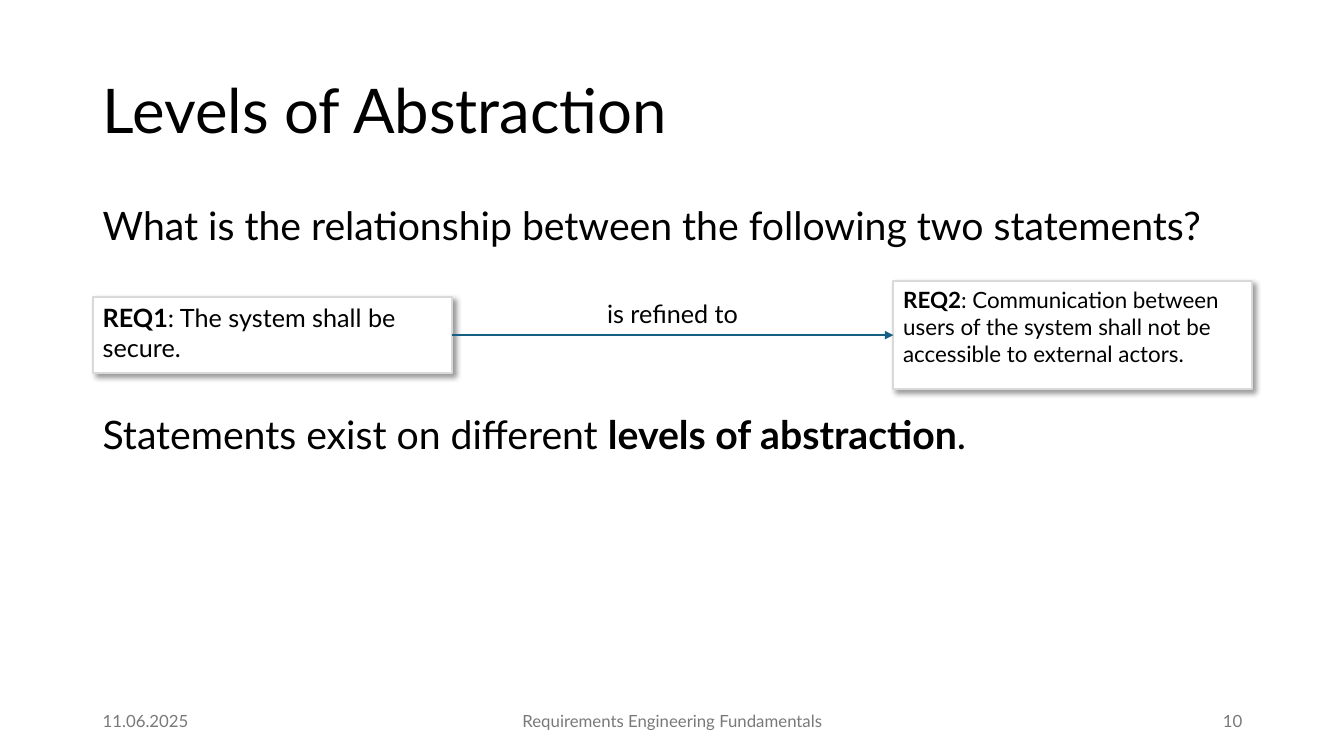
from lxml import etree
from pptx import Presentation
from pptx.dml.color import RGBColor
from pptx.enum.shapes import MSO_CONNECTOR, MSO_SHAPE
from pptx.enum.text import MSO_ANCHOR, MSO_AUTO_SIZE, PP_ALIGN
from pptx.oxml.ns import qn
from pptx.util import Inches, Pt

RECTANGLE = MSO_SHAPE.RECTANGLE
STRAIGHT = MSO_CONNECTOR.STRAIGHT
TOP, MIDDLE = MSO_ANCHOR.TOP, MSO_ANCHOR.MIDDLE
LEFT, CENTER, RIGHT = PP_ALIGN.LEFT, PP_ALIGN.CENTER, PP_ALIGN.RIGHT
NO_AUTOFIT = MSO_AUTO_SIZE.NONE
TITLE_ONLY = 5
FONT = "Lato"
COLORS = {
    "text": "000000",
    "footer": "797979",
    "card": "FFFFFF",
    "border": "D9D9D9",
    "arrow": "156082",
    "shadow": "000000",
}


def color(name):
    """Return the named colour."""
    return RGBColor.from_string(COLORS[name])


def write_text(shape, *runs, size, fill="text", align=LEFT, anchor=TOP, spacing=1.0, before=0):
    """Fill a shape with one paragraph of (text, bold) runs."""
    frame = shape.text_frame
    frame.word_wrap = True
    frame.auto_size = NO_AUTOFIT
    frame.vertical_anchor = anchor
    paragraph = frame.paragraphs[0]
    paragraph.alignment = align
    paragraph.line_spacing = spacing
    paragraph.space_before = Pt(before)
    for text, bold in runs:
        run = paragraph.add_run()
        run.text = text
        run.font.name = FONT
        run.font.size = Pt(size)
        run.font.bold = bold
        run.font.color.rgb = color(fill)


def add_text(slide, box, *runs, **text_format):
    """Add a text box with formatted runs."""
    shape = slide.shapes.add_textbox(*map(Inches, box))
    write_text(shape, *runs, **text_format)


def add_title(slide, box, text):
    """Place and fill the title placeholder."""
    title = slide.shapes.title
    title.left, title.top, title.width, title.height = map(Inches, box)
    write_text(title, (text, False), size=44, anchor=MIDDLE, spacing=0.9)


def add_statement(slide, box, *runs):
    """Add a large line of body text."""
    add_text(slide, box, *runs, size=28, spacing=0.9, before=10)


def add_card_shadow(card):
    """Give a card a soft shadow towards the lower right."""
    card.shadow.inherit = False
    effects = card._element.spPr.find(qn("a:effectLst"))
    shadow = etree.SubElement(
        effects, qn("a:outerShdw"), blurRad=str(Pt(4)), dist=str(Pt(3)),
        dir=str(45 * 60000), algn="tl", rotWithShape="0")
    shade = etree.SubElement(shadow, qn("a:srgbClr"), val=COLORS["shadow"])
    etree.SubElement(shade, qn("a:alpha"), val="40000")


def add_requirement(slide, box, name, text, size):
    """Add a requirement card with a bold name."""
    card = slide.shapes.add_shape(RECTANGLE, *map(Inches, box))
    card.fill.solid()
    card.fill.fore_color.rgb = color("card")
    card.line.color.rgb = color("border")
    card.line.width = Pt(1.5)
    add_card_shadow(card)
    write_text(card, (name, True), (f": {text}", False), size=size)


def add_arrow(slide, start, end, y):
    """Add a horizontal arrow."""
    arrow = slide.shapes.add_connector(STRAIGHT, *map(Inches, (start, y, end, y)))
    arrow.line.color.rgb = color("arrow")
    arrow.line.width = Pt(1)
    etree.SubElement(arrow.line._get_or_add_ln(), qn("a:tailEnd"), type="triangle")
    etree.SubElement(arrow._element.spPr, qn("a:effectLst"))


def add_refinement(slide, box):
    """Draw the two requirements and the arrow that links them."""
    left, top, width, height = box
    card_width, short_height = 3.56, 0.75
    middle = top + height / 2
    arrow_start, arrow_end = left + card_width, left + width - card_width
    add_requirement(slide, (left, middle - short_height / 2, card_width, short_height),
                    "REQ1", "The system shall be secure.", 18)
    add_requirement(slide, (arrow_end, top, card_width, height), "REQ2",
                    "Communication between users of the system shall not be "
                    "accessible to external actors.", 16)
    add_arrow(slide, arrow_start, arrow_end, middle)
    label_width = 2.49
    label_left = (arrow_start + arrow_end - label_width) / 2
    add_text(slide, (label_left, middle - 0.41, label_width, 0.4),
             ("is refined to", False), size=18, align=CENTER)


def add_footer(slide, box):
    """Add the date, the course name and the slide number."""
    left, top, width, height = box
    side, center = 3, 4.5
    parts = [
        ("11.06.2025", left, side, LEFT),
        ("Requirements Engineering Fundamentals", left + (width - center) / 2, center, CENTER),
        ("10", left + width - side, side, RIGHT),
    ]
    for text, part_left, part_width, align in parts:
        add_text(slide, (part_left, top, part_width, height), (text, False),
                 size=12, fill="footer", align=align, anchor=MIDDLE)


def main():
    """Build and save the slide."""
    presentation = Presentation()
    presentation.slide_width = Inches(13.33)
    presentation.slide_height = Inches(7.5)
    slide = presentation.slides.add_slide(presentation.slide_layouts[TITLE_ONLY])
    left, width = 0.92, 11.5
    add_title(slide, (left, 0.4, width, 1.45), "Levels of Abstraction")
    add_statement(slide, (left, 2, width, 0.82),
                  ("What is the relationship between the following two statements?", False))
    add_refinement(slide, (left, 2.79, width, 1.07))
    add_statement(slide, (left, 4.07, 9.77, 0.97),
                  ("Statements exist on different ", False),
                  ("levels of abstraction", True), (".", False))
    add_footer(slide, (left, 6.95, width, 0.4))
    presentation.save("out.pptx")


if __name__ == "__main__":
    main()
